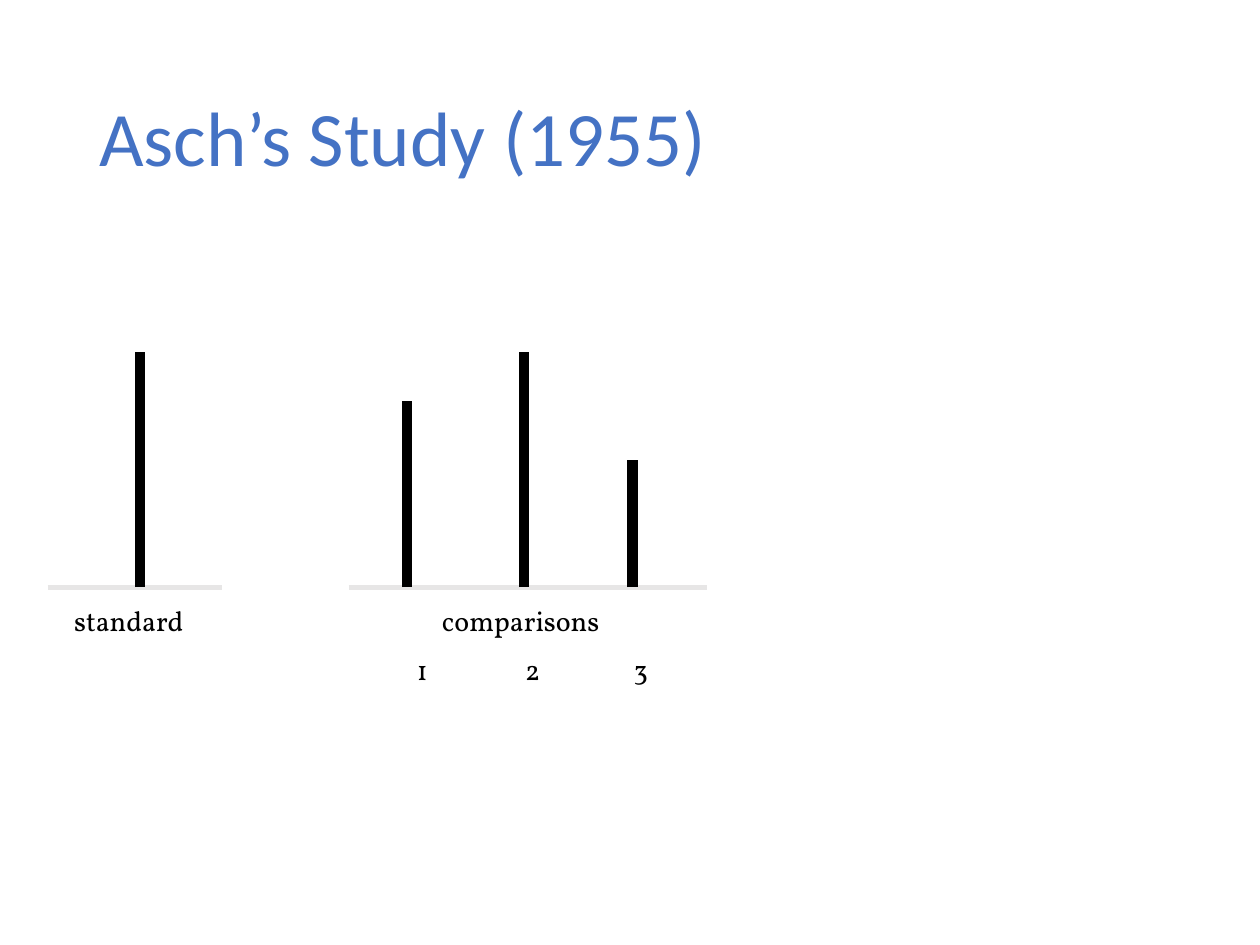
import pptx
import pptx.util
import pptx.dml.color
import pptx.enum.shapes
import pptx.enum.text
import pptx.oxml.ns
import lxml.etree

Inches = pptx.util.Inches
RGB = pptx.dml.color.RGBColor
BLUE = RGB(0x44, 0x72, 0xC4)
GRAY = RGB(0xE7, 0xE6, 0xE6)
BLACK = RGB(0, 0, 0)


def add_text(slide, text, left, top, width, height, font="Vollkorn", size=16,
             color=BLACK, wrap=False, space=None):
    """Place one line of formatted text in a box."""
    box = slide.shapes.add_textbox(Inches(left), Inches(top), Inches(width), Inches(height))
    frame = box.text_frame
    frame.word_wrap = wrap
    if wrap:
        frame.auto_size = pptx.enum.text.MSO_AUTO_SIZE.NONE
    else:
        frame.auto_size = pptx.enum.text.MSO_AUTO_SIZE.SHAPE_TO_FIT_TEXT
    frame.vertical_anchor = pptx.enum.text.MSO_ANCHOR.MIDDLE if wrap else pptx.enum.text.MSO_ANCHOR.TOP
    para = frame.paragraphs[0]
    if space:
        para.line_spacing = space
    run = para.add_run()
    run.text = text
    run.font.name = font
    run.font.size = pptx.util.Pt(size)
    run.font.color.rgb = color


def add_line(slide, start, end, color, width):
    """Draw a straight line without a shadow."""
    line = slide.shapes.add_connector(
        pptx.enum.shapes.MSO_CONNECTOR.STRAIGHT,
        Inches(start[0]), Inches(start[1]), Inches(end[0]), Inches(end[1]))
    line.line.color.rgb = color
    line.line.width = pptx.util.Pt(width)
    lxml.etree.SubElement(line._element.spPr, pptx.oxml.ns.qn("a:effectLst"))


def add_title(slide, left, top, width, height):
    """Place the slide title."""
    add_text(slide, "Asch’s Study (1955)", left, top, width, height,
             font="Calibri", size=44, color=BLUE, wrap=True, space=0.9)


def add_panel(slide, left, top, width, height, bars, label, inset, span):
    """Draw a base line, the bars that stand on it and the label below."""
    base = top + height
    add_line(slide, (left, base), (left + width, base), GRAY, 3)
    for shift, size in bars:
        add_line(slide, (left + shift, base), (left + shift, base - size), BLACK, 6)
    add_text(slide, label, left + inset, base + 0.08, span, 0.37)


def add_marks(slide, left, top, step, count):
    """Number the comparison bars at equal steps."""
    for index in range(count):
        add_text(slide, str(index + 1), left + index * step, top, 0.31, 0.37)


def main():
    """Build and save the slide."""
    deck = pptx.Presentation()
    deck.slide_width, deck.slide_height = Inches(10), Inches(7.5)
    slide = deck.slides.add_slide(deck.slide_layouts[6])
    add_title(slide, 0.69, 0.4, 8.62, 1.45)
    add_panel(slide, 0.38, 2.79, 1.38, 1.87, [(0.73, 1.87)], "standard", 0.11, 1.09)
    add_panel(slide, 2.77, 2.79, 2.84, 1.87,
              [(0.46, 1.48), (1.39, 1.87), (2.25, 1.01)], "comparisons", 0.64, 1.47)
    add_marks(slide, 3.21, 5.13, 0.86, 3)
    deck.save("out.pptx")


if __name__ == "__main__":
    main()
